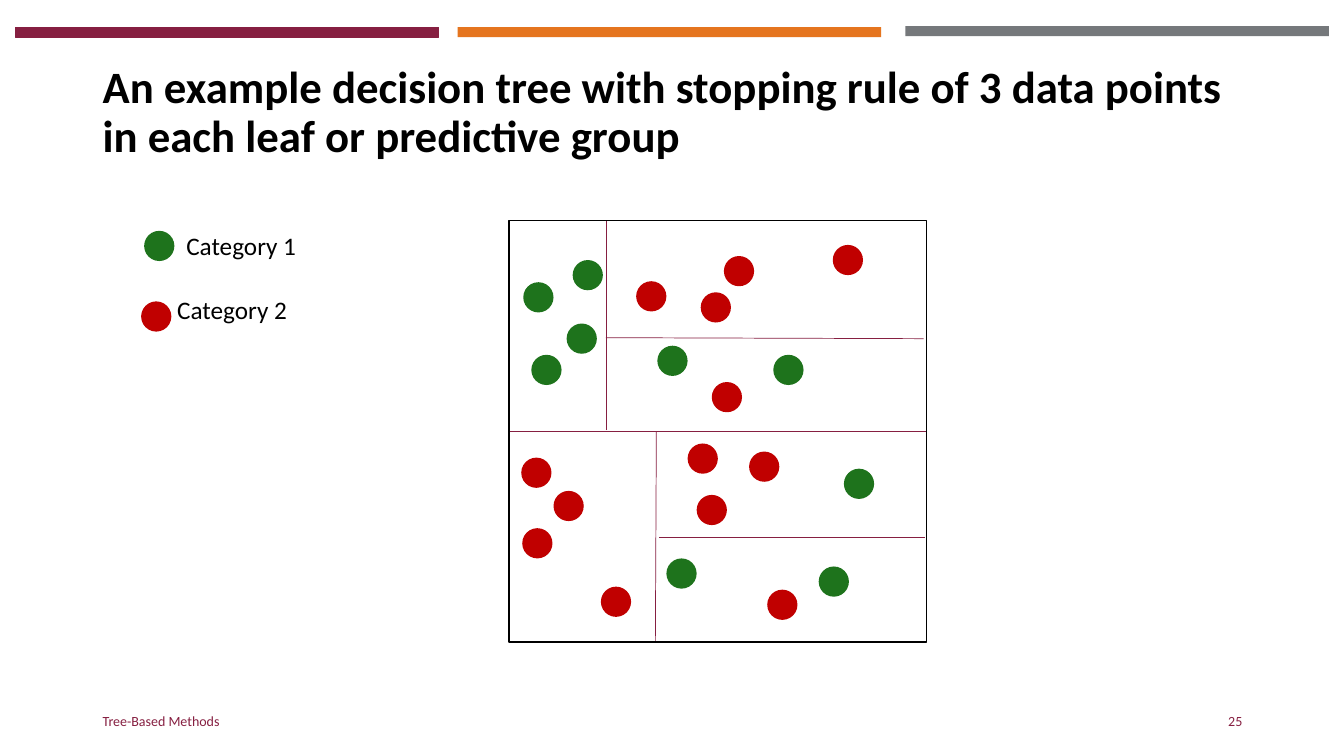
from lxml import etree
from pptx import Presentation
from pptx import util as u
from pptx.dml.color import RGBColor
from pptx.enum import shapes, text
from pptx.oxml.ns import qn

COLORS = {
    "maroon": "861F41",
    "orange": "E5751F",
    "gray": "75787B",
    "green": "1E731C",
    "red": "C00000",
    "black": "000000",
}
DOT_SIZE = 0.3
BARS = [(0.15, 0.27, "maroon"), (4.54, 0.27, "orange"), (8.98, 0.26, "gray")]
DOTS = {
    "green": [
        (5.62, 3.21), (6.52, 3.43), (6.61, 5.54), (7.67, 3.52), (8.12, 5.62),
        (5.27, 3.52), (5.19, 2.8), (5.68, 2.58), (8.37, 4.65),
    ],
    "red": [
        (6.31, 2.79), (5.17, 4.54), (6.82, 4.4), (5.49, 4.87), (6.91, 4.91),
        (7.61, 5.85), (6.95, 2.9), (7.43, 4.48), (7.18, 2.54), (5.18, 5.24),
        (8.26, 2.43), (7.06, 3.79), (5.96, 5.82),
    ],
}
SPLITS = [
    (6.01, 2.19, 6.01, 4.27),
    (6.01, 3.35, 9.16, 3.36),
    (6.51, 4.28, 6.5, 6.36),
    (6.54, 5.33, 9.17, 5.33),
]
LEGEND = [
    ("Category 1", "green", (1.43, 2.29), (1.75, 2.24)),
    ("Category 2", "red", (1.4, 2.99), (1.66, 2.87)),
]


def rgb(name):
    return RGBColor.from_string(COLORS[name])


class SlideBuilder:
    font = "Calibri"

    def __init__(self, slide):
        self.slide = slide

    def text(self, content, left, top, width, height, size=18, color="black",
             bold=False, align=text.PP_ALIGN.LEFT,
             anchor=text.MSO_ANCHOR.TOP, spacing=1.0):
        box = self.slide.shapes.add_textbox(
            u.Inches(left), u.Inches(top), u.Inches(width), u.Inches(height))
        frame = box.text_frame
        frame.word_wrap = True
        frame.vertical_anchor = anchor
        paragraph = frame.paragraphs[0]
        paragraph.alignment = align
        paragraph.line_spacing = spacing
        run = paragraph.add_run()
        run.text = content
        run.font.name = self.font
        run.font.size = u.Pt(size)
        run.font.bold = bold
        run.font.color.rgb = rgb(color)
        return box

    def shape(self, kind, left, top, width, height, fill=None, line=None,
              line_width=1):
        shape = self.slide.shapes.add_shape(
            kind, u.Inches(left), u.Inches(top), u.Inches(width),
            u.Inches(height))
        shape.shadow.inherit = False
        if fill:
            shape.fill.solid()
            shape.fill.fore_color.rgb = rgb(fill)
        else:
            shape.fill.background()
        if line:
            shape.line.color.rgb = rgb(line)
            shape.line.width = u.Pt(line_width)
        else:
            shape.line.fill.background()
        return shape

    def bar(self, left, top, color):
        line = "maroon" if color == "maroon" else None
        return self.shape(shapes.MSO_SHAPE.RECTANGLE, left, top, 4.2, 0.1,
                          fill=color, line=line, line_width=0.75)

    def dot(self, left, top, color):
        return self.shape(shapes.MSO_SHAPE.OVAL, left, top, DOT_SIZE,
                          DOT_SIZE, fill=color)

    def line(self, x1, y1, x2, y2, color="maroon", width=0.5):
        connector = self.slide.shapes.add_connector(
            shapes.MSO_CONNECTOR.STRAIGHT, u.Inches(x1), u.Inches(y1),
            u.Inches(x2), u.Inches(y2))
        connector.line.color.rgb = rgb(color)
        connector.line.width = u.Pt(width)
        etree.SubElement(connector._element.spPr, qn("a:effectLst"))
        return connector


def main():
    presentation = Presentation()
    presentation.slide_width = u.Inches(13.33)
    presentation.slide_height = u.Inches(7.5)
    slide = presentation.slides.add_slide(presentation.slide_layouts[6])
    builder = SlideBuilder(slide)
    middle = text.MSO_ANCHOR.MIDDLE

    for left, top, color in BARS:
        builder.bar(left, top, color)

    builder.text(
        "An example decision tree with stopping rule of 3 data points "
        "in each leaf or predictive group",
        0.92, 0.4, 11.5, 1.45, size=32, bold=True, anchor=middle, spacing=0.9)
    builder.text("Tree-Based Methods", 0.92, 6.95, 4.5, 0.4, size=10,
                 color="maroon", anchor=middle)
    builder.text("25", 9.42, 6.95, 3, 0.4, size=10, color="maroon",
                 align=text.PP_ALIGN.RIGHT, anchor=middle)

    for color, places in DOTS.items():
        for left, top in places:
            builder.dot(left, top, color)

    root_split = builder.line(5.05, 4.28, 9.19, 4.28)
    for split in SPLITS:
        builder.line(*split)
    region = builder.shape(shapes.MSO_SHAPE.RECTANGLE, 5.05, 2.19, 4.14, 4.18,
                           line="black")
    root_split.begin_connect(region, 1)
    root_split.end_connect(region, 3)

    for label, color, dot_place, label_place in LEGEND:
        builder.dot(*dot_place, color)
        builder.text(label, *label_place, 1.54, 0.4)

    presentation.save("out.pptx")


if __name__ == "__main__":
    main()
